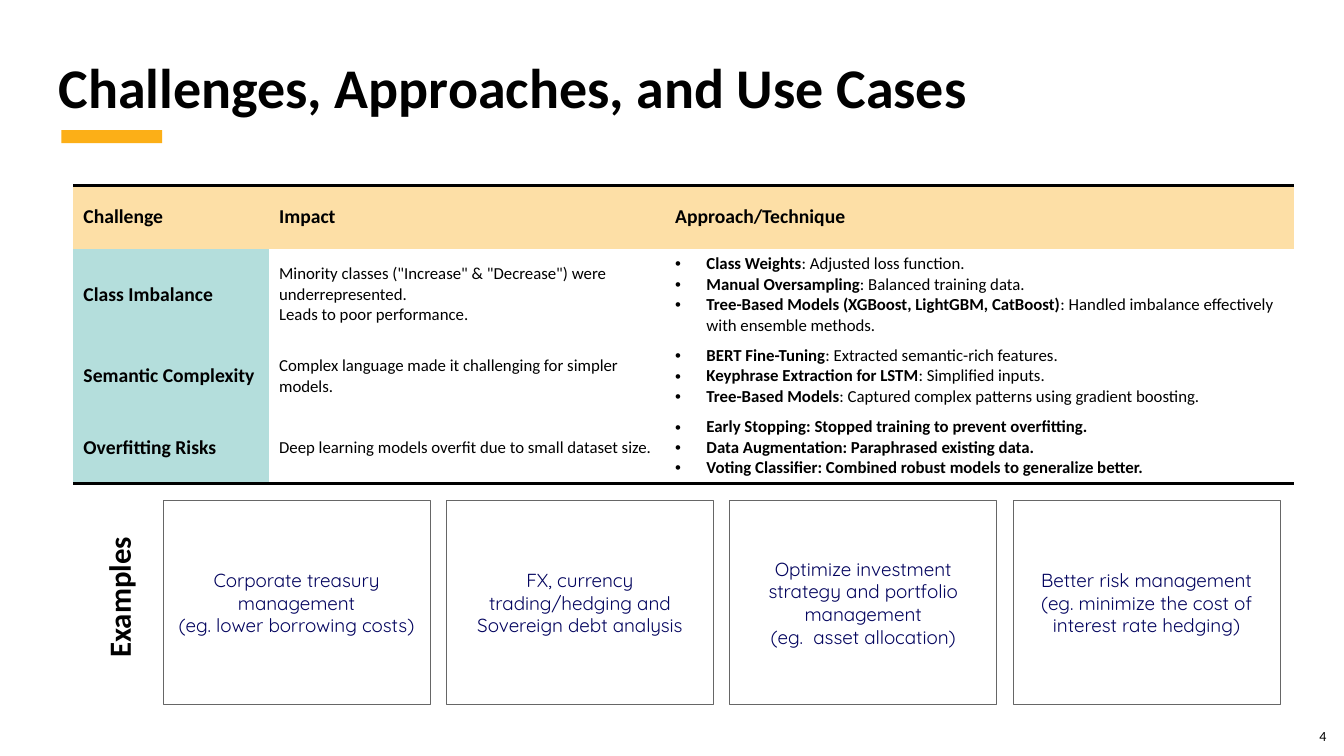
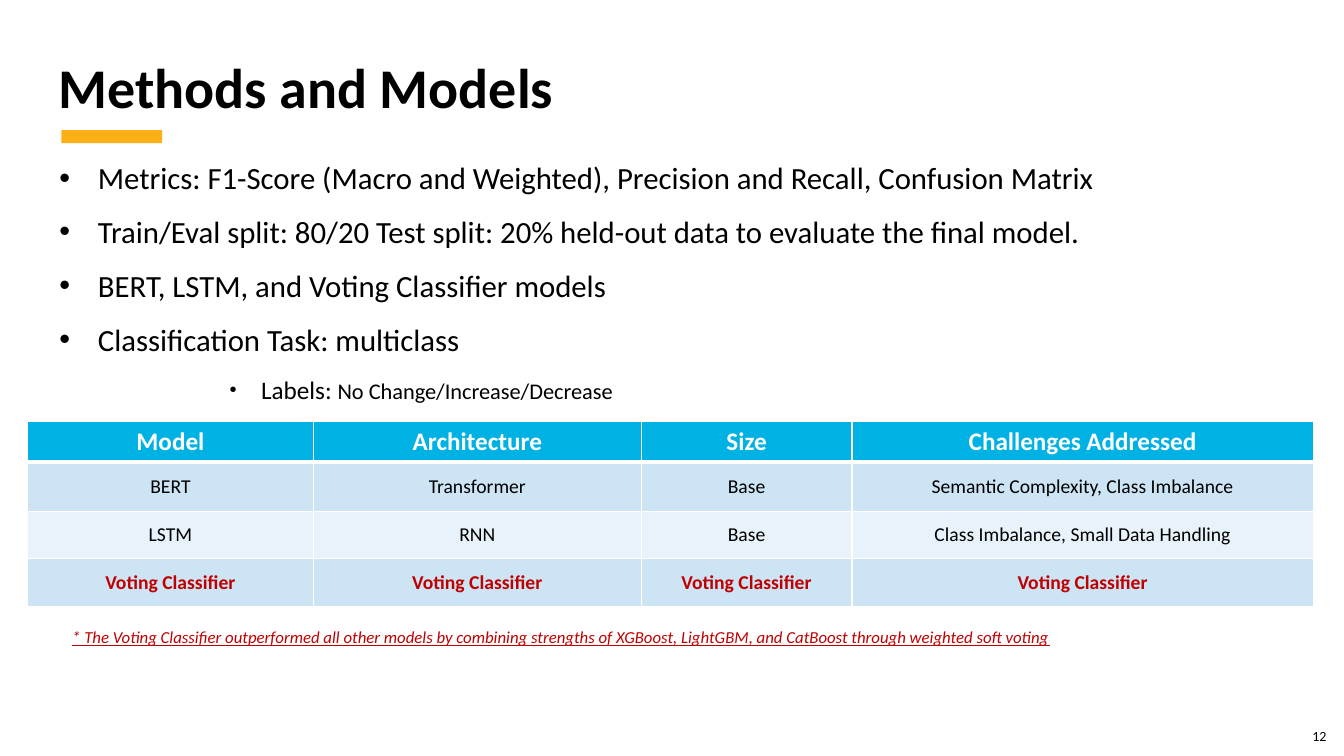
from dataclasses import dataclass, replace
from typing import NamedTuple, Sequence

from pptx import Presentation
from pptx.dml.color import RGBColor
from pptx.enum.shapes import MSO_SHAPE
from pptx.enum.text import MSO_ANCHOR, PP_ALIGN
from pptx.oxml.ns import qn
from pptx.oxml.xmlchemy import OxmlElement
from pptx.util import Cm, Pt

RECT = MSO_SHAPE.RECTANGLE
TOP, MID = MSO_ANCHOR.TOP, MSO_ANCHOR.MIDDLE
LEFT, CENTER, RIGHT = PP_ALIGN.LEFT, PP_ALIGN.CENTER, PP_ALIGN.RIGHT
PLAIN_GRID = "{2D5ABB26-0587-4C30-8999-92F81FD0307C}"  # no style, no grid


@dataclass(frozen=True)
class Theme:
    font: str = "Calibri"
    round: str = "Quicksand"
    black: str = "000000"
    white: str = "FFFFFF"
    gold: str = "FCAF17"
    sand: str = "FDDFA6"
    teal: str = "B4DEDC"
    blue: str = "00B2E3"
    sky: str = "CCE4F4"
    mist: str = "E7F2FA"
    navy: str = "03045E"
    gray: str = "666666"
    red: str = "C00000"
    title: float = 40
    large: float = 22
    head: float = 18
    sub: float = 16
    cell: float = 14
    box: float = 13.5
    small: float = 12
    page: float = 10


T = Theme()


@dataclass(frozen=True)
class Style:
    size: float
    color: str = T.black
    bold: bool = False
    slant: bool = False
    font: str = T.font


class Piece(NamedTuple):
    text: str
    style: Style


class Area(NamedTuple):
    """Left, top, width and height in centimetres."""
    x: float
    y: float
    w: float
    h: float


class Mark(NamedTuple):
    """Bullet: indent and hang in centimetres, size in percent of the text."""
    left: float
    hang: float
    size: int = 100


class Edge(NamedTuple):
    side: str
    color: str
    width: float


Line = Sequence[Piece]

TITLE = Style(T.title, bold=True)
PAGE = Style(T.page)
LABEL = Style(T.cell, bold=True)
SMALL = Style(T.small)
STRONG = replace(SMALL, bold=True)
BOX = Style(T.box, T.navy, font=T.round)
NOTE = Style(T.small, T.red, slant=True)
BODY = Style(T.large)
DOT = Mark(0.79, 0.79)


def plain(text: str, style: Style) -> list[Line]:
    return [[Piece(part, style)] for part in text.split("\n")]


def points(*pairs: tuple[str, str], tail: Style = SMALL) -> list[Line]:
    """Lines with a bold head followed by a tail."""
    return [[Piece(head, STRONG), Piece(rest, tail)] for head, rest in pairs]


def write(frame, lines: Sequence[Line], align=LEFT) -> None:
    frame.text = "\n".join(line[0].text for line in lines)
    for para, line in zip(frame.paragraphs, lines):
        para.alignment = align
        for piece in line[1:]:
            para.add_run().text = piece.text
        for run, piece in zip(para.runs, line):
            style, font = piece.style, run.font
            font.name, font.size = style.font, Pt(style.size)
            font.bold, font.italic = style.bold, style.slant
            font.color.rgb = RGBColor.from_string(style.color)


def node(name: str, **attrs: str):
    item = OxmlElement(name)
    for key, value in attrs.items():
        item.set(key, value)
    return item


def bullet(para, mark: Mark) -> None:
    props = para._p.get_or_add_pPr()
    props.set("marL", str(Cm(mark.left)))
    props.set("indent", str(-Cm(mark.hang)))
    props.append(node("a:buSzPct", val=str(mark.size * 1000)))
    props.append(node("a:buFont", typeface="Arial"))
    props.append(node("a:buChar", char="•"))


def border(cell, edges: Sequence[Edge]) -> None:
    props = cell._tc.get_or_add_tcPr()
    for edge in edges:
        line = node(f"a:ln{edge.side}", w=str(Pt(edge.width)))
        fill = node("a:solidFill")
        fill.append(node("a:srgbClr", val=edge.color))
        line.append(fill)
        props.append(line)


def paint(fill, color: str) -> None:
    fill.solid()
    fill.fore_color.rgb = RGBColor.from_string(color)


def inset(frame, pad: float, anchor=TOP) -> None:
    frame.word_wrap = True
    frame.vertical_anchor = anchor
    frame.margin_left = frame.margin_right = Cm(pad)
    frame.margin_top = frame.margin_bottom = Cm(pad)


def add_text(slide, area: Area, lines: Sequence[Line], align=LEFT,
             anchor=TOP, pad: float = 0):
    shape = slide.shapes.add_textbox(*map(Cm, area))
    inset(shape.text_frame, pad, anchor)
    write(shape.text_frame, lines, align)
    return shape


def add_rect(slide, area: Area):
    shape = slide.shapes.add_shape(RECT, *map(Cm, area))
    shape.shadow.inherit = False
    return shape


def add_grid(slide, x: float, y: float, cols: Sequence[float],
             rows: Sequence[float]):
    """Bare table with the given column widths and row heights."""
    area = Area(x, y, sum(cols), sum(rows))
    frame = slide.shapes.add_table(len(rows), len(cols), *map(Cm, area))
    for style in frame.element.iter(qn("a:tableStyleId")):
        style.text = PLAIN_GRID
    table = frame.table
    table.first_row = table.horz_banding = False
    for col, width in zip(table.columns, cols):
        col.width = Cm(width)
    for row, height in zip(table.rows, rows):
        row.height = Cm(height)
    return table


def set_cell(cell, lines: Sequence[Line], fill: str, edges: Sequence[Edge],
             align=LEFT) -> None:
    cell.vertical_anchor = MID
    write(cell.text_frame, lines, align)
    border(cell, edges)
    paint(cell.fill, fill)


def add_base(deck, title: str, page: int):
    """Blank slide with title, accent bar and page number."""
    slide = deck.slides.add_slide(deck.slide_layouts[6])
    bar = add_rect(slide, Area(1.55, 3.28, 2.54, 0.33))
    paint(bar.fill, T.gold)
    bar.line.fill.background()
    add_text(slide, Area(25.4, 18.34, 8.03, 0.51), plain(str(page), PAGE), RIGHT)
    head = add_text(slide, Area(1.48, 1.32, 30.78, 1.93),
                    plain(title, TITLE), anchor=MID)
    head.text_frame.paragraphs[0].line_spacing = 0.9
    return slide


RISKS = [
    ("Class Imbalance",
     'Minority classes ("Increase" & "Decrease") were underrepresented.\n'
     "Leads to poor performance.",
     points(("Class Weights", ": Adjusted loss function."),
            ("Manual Oversampling", ": Balanced training data."),
            ("Tree-Based Models (XGBoost, LightGBM, CatBoost)",
             ": Handled imbalance effectively with ensemble methods."))),
    ("Semantic Complexity",
     "Complex language made it challenging for simpler models.",
     points(("BERT Fine-Tuning", ": Extracted semantic-rich features."),
            ("Keyphrase Extraction for LSTM", ": Simplified inputs."),
            ("Tree-Based Models",
             ": Captured complex patterns using gradient boosting."))),
    ("Overfitting Risks",
     "Deep learning models overfit due to small dataset size.",
     points(("Early Stopping", ": Stopped training to prevent overfitting."),
            ("Data Augmentation", ": Paraphrased existing data."),
            ("Voting Classifier",
             ": Combined robust models to generalize better."),
            tail=STRONG)),
]

CASES = [
    "Corporate treasury management\n(eg. lower borrowing costs)",
    "FX, currency trading/hedging and Sovereign debt analysis",
    "Optimize investment strategy and portfolio management\n"
    "(eg.  asset allocation)",
    "Better risk management (eg. minimize the cost of interest rate hedging)",
]

MODELS = [
    ("Model", "Architecture", "Size", "Challenges Addressed"),
    ("BERT", "Transformer", "Base", "Semantic Complexity, Class Imbalance"),
    ("LSTM", "RNN", "Base", "Class Imbalance, Small Data Handling"),
    ("Voting Classifier",) * 4,
]

FACTS = [
    "Metrics: F1-Score (Macro and Weighted), Precision and Recall, "
    "Confusion Matrix",
    "Train/Eval split: 80/20 Test split: 20% held-out data to evaluate "
    "the final model.",
    "BERT, LSTM, and Voting Classifier models",
    "Classification Task: multiclass",
]


def add_risks(deck) -> None:
    slide = add_base(deck, "Challenges, Approaches, and Use Cases", 4)
    table = add_grid(slide, 1.85, 4.67, (4.93, 9.98, 15.85),
                     (1.6, 2.31, 1.8, 1.8))
    for col, name in enumerate(("Challenge", "Impact", "Approach/Technique")):
        set_cell(table.cell(0, col), plain(name, LABEL), T.sand,
                 [Edge("T", T.black, 2)])
    for row, (name, impact, ways) in enumerate(RISKS, 1):
        edges = [Edge("B", T.black, 2)] if row == len(RISKS) else []
        texts = plain(name, LABEL), plain(impact, SMALL), ways
        for col, lines in enumerate(texts):
            set_cell(table.cell(row, col), lines,
                     T.white if col else T.teal, edges)
        for para in table.cell(row, 2).text_frame.paragraphs:
            bullet(para, DOT)

    side = add_text(slide, Area(0.56, 14.33, 4.88, 1.45),
                    plain("Examples", replace(BODY, bold=True)), CENTER,
                    pad=0.25)
    side.rotation = 270
    wide, gap = 6.73, 0.41
    for num, text in enumerate(CASES):
        box = add_rect(slide, Area(4.11 + num * (wide + gap), 12.62, wide, 5.13))
        box.fill.background()
        box.line.color.rgb = RGBColor.from_string(T.gray)
        box.line.width = Pt(0.75)
        inset(box.text_frame, 0.25, MID)
        write(box.text_frame, plain(text, BOX), CENTER)


def add_models(deck) -> None:
    slide = add_base(deck, "Methods and Models", 12)
    lines = plain("\n".join(FACTS), BODY)
    lines.append([Piece("Labels: ", Style(T.head)),
                  Piece("No Change/Increase/Decrease", Style(T.sub))])
    body = add_text(slide, Area(1.5, 4.01, 30.78, 6.4), lines)
    *facts, label = body.text_frame.paragraphs
    for para in facts:
        para.space_after = Pt(12)
        bullet(para, Mark(0.97, 0.97))
    bullet(label, Mark(5.08, 0.79, 80))

    table = add_grid(slide, 0.69, 10.62, (7.21, 8.26, 5.31, 11.63),
                     (1.02, 1.24, 1.2, 1.2))
    plan = [
        (Style(T.head, T.white, bold=True), T.blue),
        (Style(T.cell), T.sky),
        (Style(T.cell), T.mist),
        (Style(T.cell, T.red, bold=True), T.sky),
    ]
    for row, (names, (style, fill)) in enumerate(zip(MODELS, plan)):
        wide = {"T": 3 if row == 1 else 1, "B": 1 if row else 3}
        edges = [Edge(side, T.white, wide.get(side, 1)) for side in "LRTB"]
        for col, name in enumerate(names):
            set_cell(table.cell(row, col), plain(name, style), fill, edges,
                     CENTER)

    note = add_text(slide, Area(1.57, 15.67, 27.66, 0.76), plain(
        "* The Voting Classifier outperformed all other models by combining "
        "strengths of XGBoost, LightGBM, and CatBoost through weighted soft "
        "voting", NOTE))
    frame = note.text_frame
    frame.margin_left = frame.margin_right = Cm(0.25)
    frame.margin_top = frame.margin_bottom = Cm(0.13)
    frame.paragraphs[0].runs[0].font.underline = True


def main() -> None:
    deck = Presentation()
    deck.slide_width, deck.slide_height = Cm(33.87), Cm(19.05)
    add_risks(deck)
    add_models(deck)
    deck.save("out.pptx")


if __name__ == "__main__":
    main()
